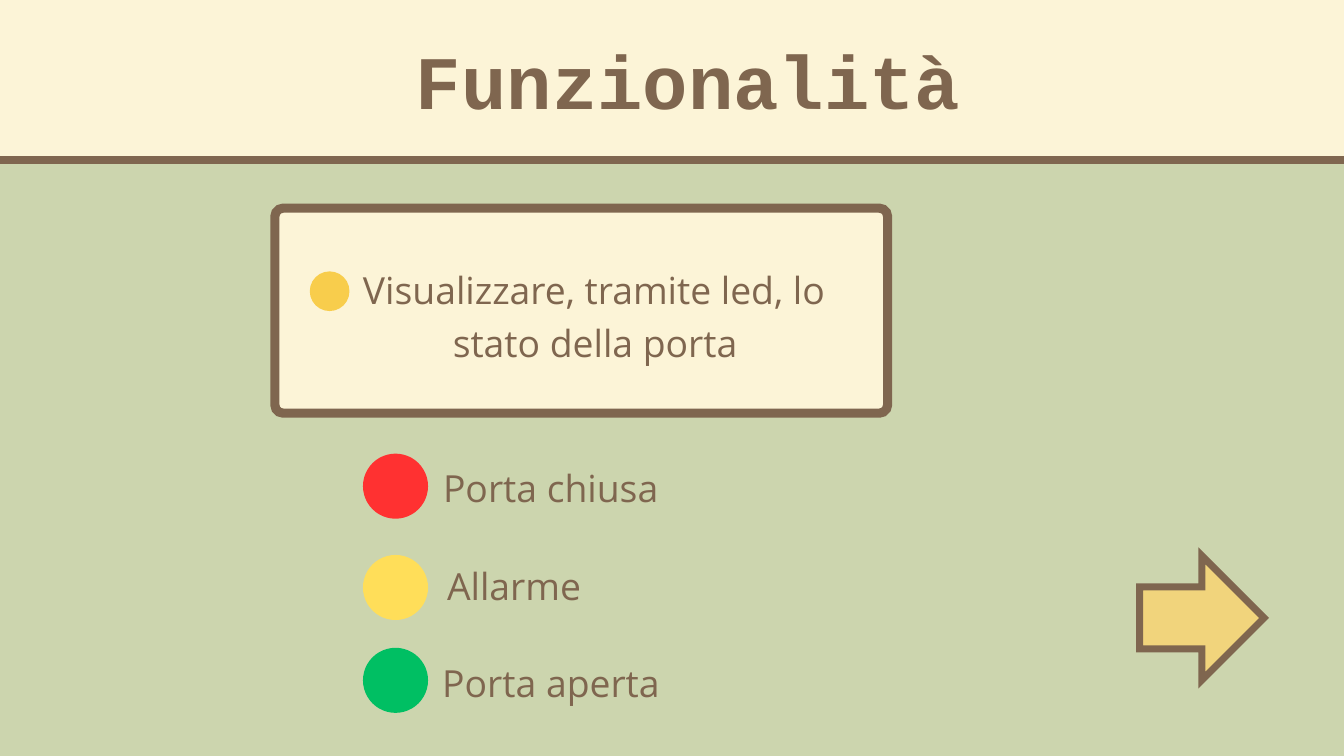
from dataclasses import dataclass

from lxml.etree import SubElement
from pptx import Presentation
from pptx.dml.color import RGBColor
from pptx.enum.shapes import MSO_SHAPE
from pptx.enum.text import MSO_ANCHOR, PP_ALIGN
from pptx.oxml.ns import qn
from pptx.util import Cm, Pt


@dataclass(frozen=True)
class Theme:
    """Colours, fonts and type sizes of the slide."""
    sage: str = "CCD5AE"
    cream: str = "FCF4D7"
    brown: str = "7F664F"
    gold: str = "F1D47C"
    bullet: str = "F8CD4C"
    red: str = "FF3131"
    yellow: str = "FFDE59"
    green: str = "00BF63"
    title_font: str = "Courier New"
    body_font: str = "Open Sans"
    title_size: float = 81
    body_size: float = 40
    line_ratio: float = 1.4


THEME = Theme()


def apply_format(target, values):
    """Set every attribute in a dict of format values."""
    for name, value in values.items():
        setattr(target, name, value)


def add_figure(slide, kind, box, fill, line_width=0):
    """Draw a filled preset shape with an optional brown mitred outline."""
    shape = slide.shapes.add_shape(kind, *map(Cm, box))
    shape.shadow.inherit = False
    shape.fill.solid()
    shape.fill.fore_color.rgb = RGBColor.from_string(fill)
    if line_width:
        shape.line.color.rgb = RGBColor.from_string(THEME.brown)
        shape.line.width = Pt(line_width)
        SubElement(shape.line._ln, qn("a:miter"), lim="800000")
    else:
        shape.line.fill.background()
    return shape


def add_text(slide, box, lines, size=THEME.body_size, font=THEME.body_font, bold=False):
    """Write (text, alignment) lines in a box without margins."""
    frame = slide.shapes.add_textbox(*map(Cm, box)).text_frame
    apply_format(frame, dict(
        word_wrap=True, vertical_anchor=MSO_ANCHOR.TOP,
        margin_left=0, margin_right=0, margin_top=0, margin_bottom=0))
    for index, (text, alignment) in enumerate(lines):
        paragraph = frame.add_paragraph() if index else frame.paragraphs[0]
        run = paragraph.add_run()
        run.text = text
        apply_format(paragraph, dict(
            alignment=alignment, line_spacing=Pt(size * THEME.line_ratio)))
        apply_format(run.font, dict(size=Pt(size), name=font, bold=bold))
        run.font.color.rgb = RGBColor.from_string(THEME.brown)


def add_banner(slide, box):
    """Place the title banner, which bleeds over the slide edges."""
    left, top, width, height = box
    add_figure(slide, MSO_SHAPE.RECTANGLE, box, THEME.cream, 9)
    add_text(slide, (left + 9.45, top + 4.88, 36.88, 3.86),
             [("Funzionalità", PP_ALIGN.CENTER)],
             THEME.title_size, THEME.title_font, True)


def add_feature_panel(slide, box):
    """Place the framed feature with its round bullet."""
    left, top, width, height = box
    panel = add_figure(slide, MSO_SHAPE.ROUNDED_RECTANGLE, box, THEME.cream, 9.75)
    panel.adjustments[0] = 0.04
    add_figure(slide, MSO_SHAPE.OVAL, (left + 1.32, top + 2.39, 1.5, 1.5), THEME.bullet)
    add_text(slide, (left + 3.33, top + 1.96, 17.55, 3.84),
             [("Visualizzare, tramite led, lo", PP_ALIGN.JUSTIFY),
              ("stato della porta", PP_ALIGN.CENTER)])


def add_led_legend(slide, box):
    """Place the coloured leds and their meanings."""
    left, top, width, height = box
    leds = [
        (THEME.red, 0, "Porta chiusa", 3.02, 8.15),
        (THEME.yellow, 3.83, "Allarme", 3.17, 5.08),
        (THEME.green, 7.34, "Porta aperta", 2.99, 8.23),
    ]
    diameter, label_pitch = 2.46, 3.67
    for index, (color, led_top, label, indent, label_width) in enumerate(leds):
        add_figure(slide, MSO_SHAPE.OVAL,
                   (left, top + led_top, diameter, diameter), color)
        add_text(slide,
                 (left + indent, top + 0.17 + index * label_pitch, label_width, 1.88),
                 [(label, PP_ALIGN.CENTER)])


def add_next_arrow(slide, box):
    """Place the arrow that points to the next slide."""
    add_figure(slide, MSO_SHAPE.RIGHT_ARROW, box, THEME.gold, 7.5)


def main():
    """Build the slide and save it."""
    presentation = Presentation()
    apply_format(presentation, dict(slide_width=Cm(50.8), slide_height=Cm(28.58)))
    slide = presentation.slides.add_slide(presentation.slide_layouts[6])
    slide.background.fill.solid()
    slide.background.fill.fore_color.rgb = RGBColor.from_string(THEME.sage)
    add_feature_panel(slide, (10.39, 7.87, 23.16, 7.75))
    add_banner(slide, (-1.88, -4.17, 55.78, 10.21))
    add_next_arrow(slide, (43.08, 21.01, 4.7, 4.7))
    add_led_legend(slide, (13.72, 17.15, 11.22, 9.8))
    presentation.save("out.pptx")


if __name__ == "__main__":
    main()
